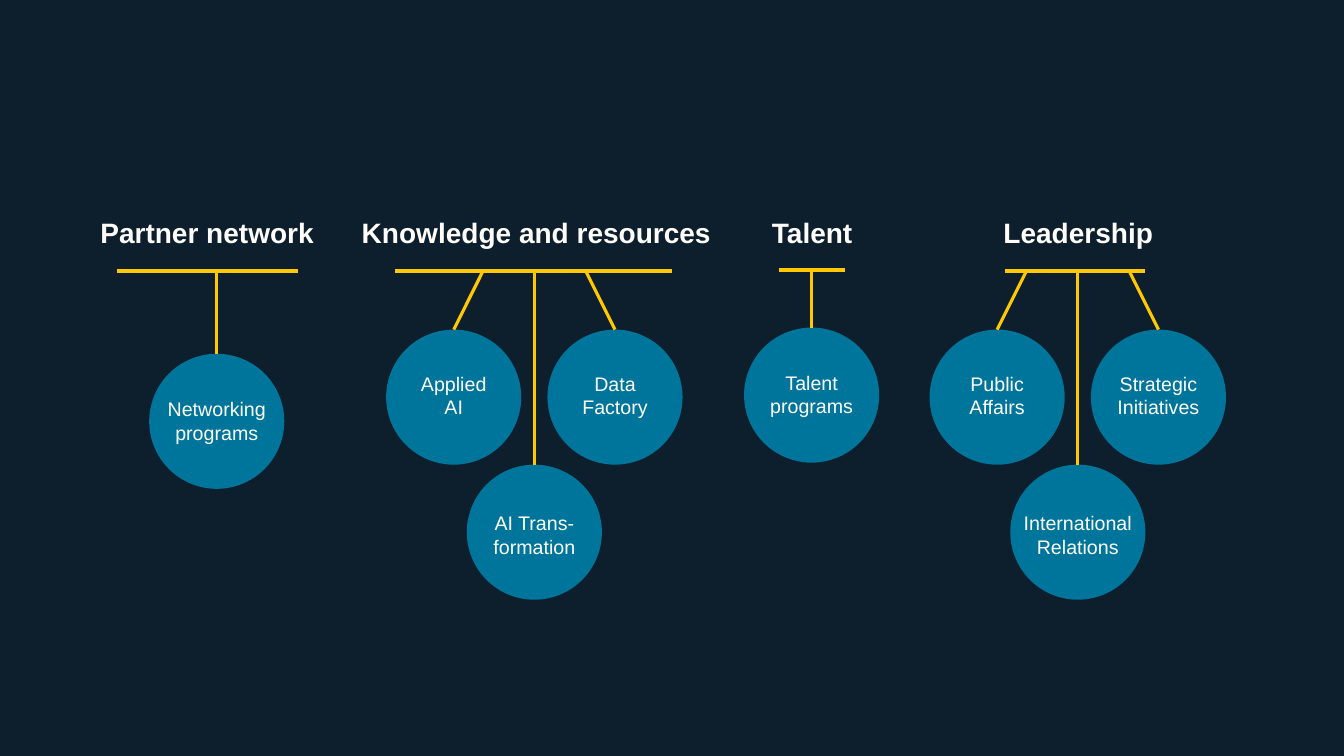
from dataclasses import dataclass

from pptx import Presentation
from pptx.dml.color import RGBColor
from pptx.enum.shapes import MSO_CONNECTOR as Connector, MSO_SHAPE as Shape
from pptx.enum.text import MSO_ANCHOR as Anchor, MSO_AUTO_SIZE as AutoSize, PP_ALIGN as Align
from pptx.oxml.ns import qn
from pptx.util import Inches, Pt
from lxml import etree


@dataclass(frozen=True)
class Theme:
    background: RGBColor = RGBColor.from_string("0D1F2C")
    line: RGBColor = RGBColor.from_string("FFC800")
    circle: RGBColor = RGBColor.from_string("00759C")
    text: RGBColor = RGBColor.from_string("FFFDF9")
    font: str = "Arial"
    heading_size: Pt = Pt(20)
    label_size: Pt = Pt(14)
    bar_width: Pt = Pt(3)
    stem_width: Pt = Pt(2.25)


DIAMETER = 1.34
HEADING_TOP, HEADING_HEIGHT = 1.69, 1.23
UPPER_TOP, LOWER_TOP = 3.27, 4.61
SIDE_OFFSET, STEM_OFFSET = 0.8, 0.51


def trio(left, right, middle, middle_width=1.25):
    """Two upper circles and one lower circle: label, offset, stem offset, top, label drop, label width."""
    return [
        (left, -SIDE_OFFSET, -STEM_OFFSET, UPPER_TOP, 0.37, 1.25),
        (right, SIDE_OFFSET, STEM_OFFSET, UPPER_TOP, 0.37, 1.25),
        (middle, 0, 0, LOWER_TOP, 0.41, middle_width),
    ]


def single(label, top):
    return [(label, 0, 0, top, 0.38, 1.25)]


# heading, heading left and width, bar start, end and height, centre of circles, circles
BRANCHES = [
    ("Partner network", 0.69, 2.73, 1.16, 2.96, 2.69, 2.15,
     single("Networking programs", 3.51)),
    ("Knowledge and resources", 3.35, 3.94, 3.92, 6.67, 2.69, 5.3,
     trio("Applied\vAI", "Data Factory", "AI Trans-formation")),
    ("Talent", 6.69, 2.73, 7.73, 8.38, 2.68, 8.05,
     single("Talent programs", 3.25)),
    ("Leadership", 9.33, 2.73, 9.97, 11.36, 2.69, 10.69,
     trio("Public Affairs", "Strategic Initiatives", "International Relations", 1.43)),
]


class SlideBuilder:
    def __init__(self, slide, theme):
        self.slide = slide
        self.theme = theme
        slide.background.fill.solid()
        slide.background.fill.fore_color.rgb = theme.background

    def set_text(self, shape, text, frame_format, size, bold=False, line_spacing=1.0):
        frame = shape.text_frame
        for name, value in {"word_wrap": True, **frame_format}.items():
            setattr(frame, name, value)
        frame.text = text
        paragraph = frame.paragraphs[0]
        for name, value in {"alignment": Align.CENTER, "line_spacing": line_spacing,
                            "space_before": Pt(0)}.items():
            setattr(paragraph, name, value)
        for run in paragraph.runs:
            for name, value in {"name": self.theme.font, "size": size, "bold": bold}.items():
                setattr(run.font, name, value)
            run.font.color.rgb = self.theme.text

    def heading(self, text, left, width, placeholder=None):
        box = (Inches(left), Inches(HEADING_TOP), Inches(width), Inches(HEADING_HEIGHT))
        shape = placeholder or self.slide.shapes.add_textbox(*box)
        for name, value in zip(("left", "top", "width", "height"), box):
            setattr(shape, name, value)
        frame_format = {"auto_size": AutoSize.NONE, "vertical_anchor": Anchor.MIDDLE,
                        "margin_left": 0, "margin_right": 0,
                        "margin_top": Inches(0.16), "margin_bottom": Inches(0.12)}
        self.set_text(shape, text, frame_format, self.theme.heading_size, True, 0.9)

    def line(self, start_x, start_y, end_x, end_y, width):
        connector = self.slide.shapes.add_connector(
            Connector.STRAIGHT, Inches(start_x), Inches(start_y), Inches(end_x), Inches(end_y))
        connector.line.color.rgb = self.theme.line
        connector.line.width = width
        etree.SubElement(connector._element.spPr, qn("a:effectLst"))
        return connector

    def circle(self, center, top):
        shape = self.slide.shapes.add_shape(
            Shape.OVAL, Inches(center - DIAMETER / 2), Inches(top),
            Inches(DIAMETER), Inches(DIAMETER))
        shape.shadow.inherit = False
        shape.fill.solid()
        shape.fill.fore_color.rgb = self.theme.circle
        shape.line.fill.background()
        return shape

    def label(self, text, center, top, width):
        shape = self.slide.shapes.add_textbox(
            Inches(center - width / 2), Inches(top), Inches(width), Inches(0.57))
        self.set_text(shape, text, {"auto_size": AutoSize.SHAPE_TO_FIT_TEXT},
                      self.theme.label_size)


def main():
    presentation = Presentation()
    presentation.slide_width, presentation.slide_height = Inches(13.33), Inches(7.5)
    slide = presentation.slides.add_slide(presentation.slide_layouts[0])
    theme = Theme()
    builder = SlideBuilder(slide, theme)

    # Only the subtitle placeholder holds text
    title = slide.shapes.title._element
    title.getparent().remove(title)
    subtitle = slide.placeholders[1]

    for heading, left, width, bar_start, bar_end, bar_y, center, circles in BRANCHES:
        # Heading and bar
        placeholder = subtitle if heading == "Knowledge and resources" else None
        builder.heading(heading, left, width, placeholder)
        builder.line(bar_start, bar_y, bar_end, bar_y, theme.bar_width)

        # Circles hanging from the bar
        for text, offset, stem_offset, top, drop, label_width in circles:
            circle = builder.circle(center + offset, top)
            stem = builder.line(center + stem_offset, bar_y, center + offset, top,
                                theme.stem_width)
            stem.end_connect(circle, 0)
            builder.label(text, center + offset, top + drop, label_width)

    presentation.save("out.pptx")


if __name__ == "__main__":
    main()
